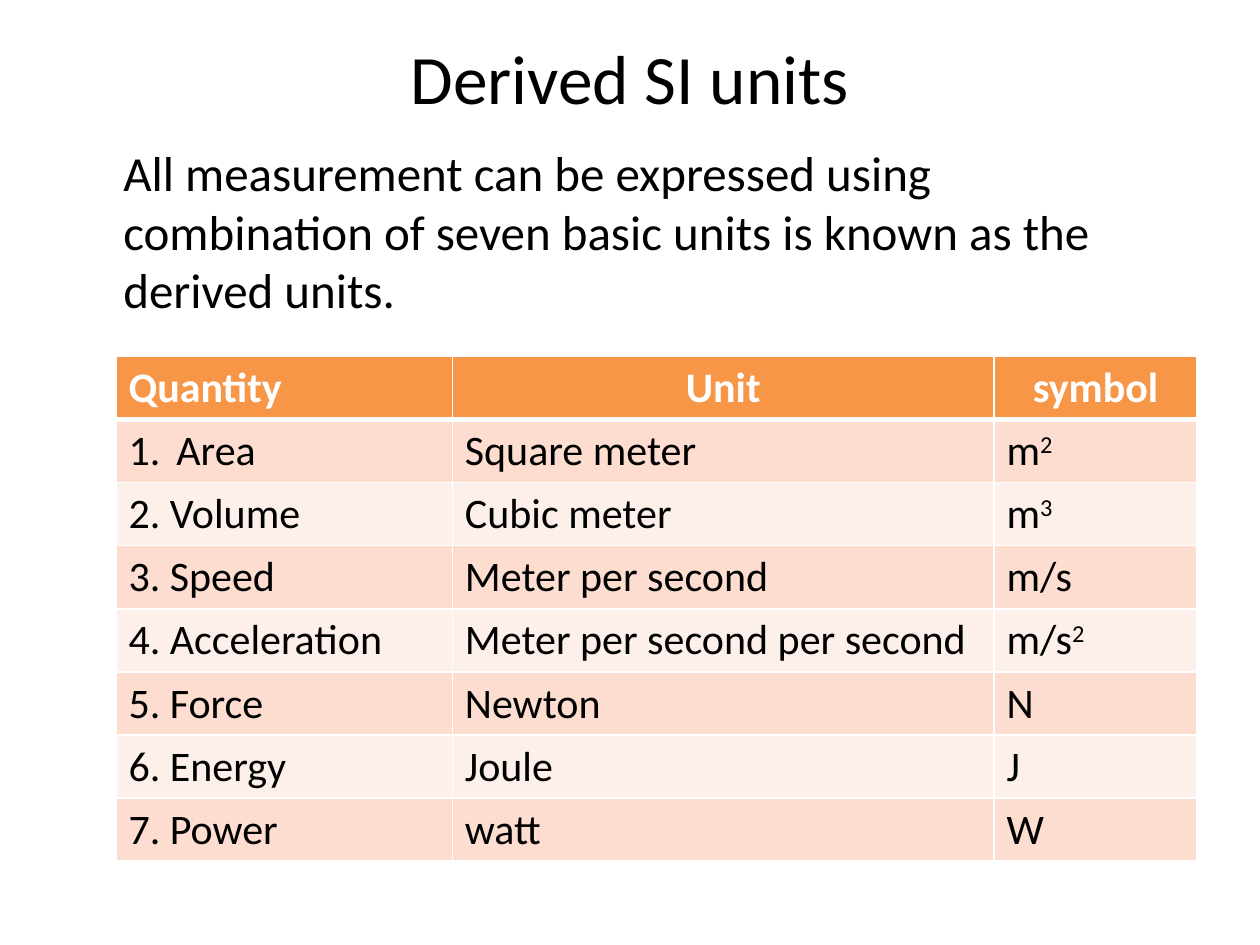
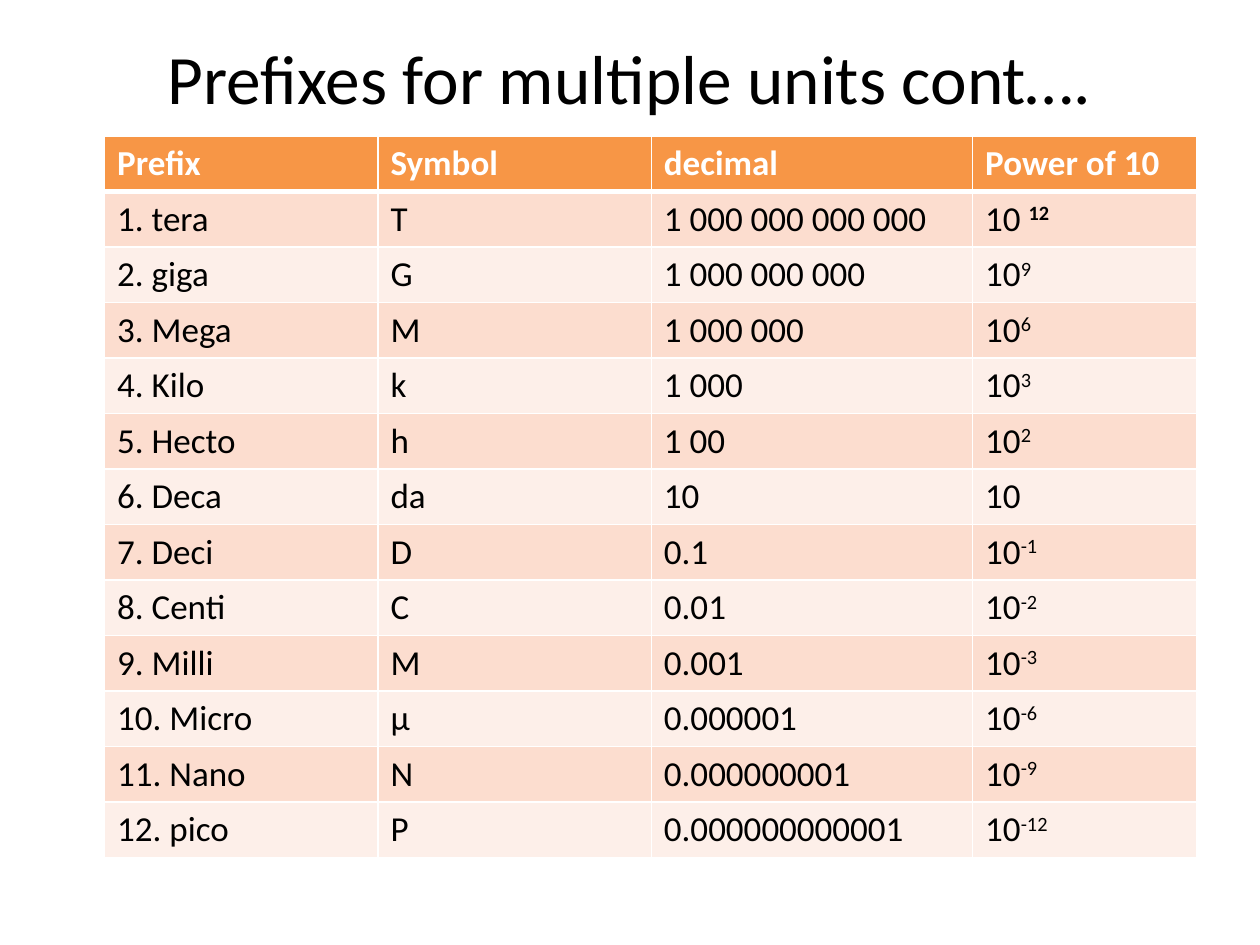
from lxml.etree import SubElement
from pptx import Presentation
from pptx.dml.color import RGBColor
from pptx.enum.text import MSO_ANCHOR as Anchor, MSO_AUTO_SIZE as AutoSize, PP_ALIGN as Align
from pptx.oxml.ns import qn
from pptx.util import Inches, Pt

FONT = "Calibri"
BLACK, WHITE = "000000", "FFFFFF"
HEADER_FILL = "F79646"
BAND_FILLS = ("FCDDCF", "FDEFE9")
TITLE_ONLY = 5
NUMBER_INDENT = 0.38


def rgb(value):
    return RGBColor.from_string(value)


def set_borders(cell, **widths):
    """Draw white cell borders; widths are points keyed by side: L, R, T, B."""
    properties = cell._tc.get_or_add_tcPr()
    for side, width in widths.items():
        line = SubElement(properties, qn(f"a:ln{side}"), w=str(Pt(width)))
        SubElement(SubElement(line, qn("a:solidFill")), qn("a:srgbClr"), val=WHITE)


def set_auto_number(paragraph):
    properties = paragraph._p.get_or_add_pPr()
    indent = Inches(NUMBER_INDENT)
    properties.set("marL", str(indent))
    properties.set("indent", str(-indent))
    SubElement(properties, qn("a:buFont"), typeface="+mj-lt")
    SubElement(properties, qn("a:buAutoNum"), type="arabicPeriod")


class Deck:
    def __init__(self):
        self.prs = Presentation()
        self.prs.slide_width, self.prs.slide_height = Inches(10), Inches(7.5)
        self.slide = None

    def add_run(self, paragraph, text, size, color=BLACK, bold=False, raised=False):
        run = paragraph.add_run()
        run.text = text
        font = run.font
        font.name, font.size, font.bold = FONT, Pt(size), bold
        font.color.rgb = rgb(color)
        if raised:
            run._r.get_or_add_rPr().set("baseline", "30000")

    def add_slide(self, heading):
        self.slide = self.prs.slides.add_slide(self.prs.slide_layouts[TITLE_ONLY])
        title = self.slide.shapes.title
        title.left, title.top = Inches(0.5), Inches(0.3)
        title.width, title.height = Inches(9), Inches(0.62)
        frame = title.text_frame
        frame.auto_size, frame.vertical_anchor = AutoSize.NONE, Anchor.MIDDLE
        frame.paragraphs[0].alignment = Align.CENTER
        self.add_run(frame.paragraphs[0], heading, 39.6)

    def add_body(self, text):
        box = self.slide.shapes.add_textbox(Inches(0.5), Inches(1.08), Inches(9), Inches(1.6))
        frame = box.text_frame
        frame.word_wrap = True
        frame.margin_left = Inches(0.1 + NUMBER_INDENT)
        self.add_run(frame.paragraphs[0], text, 28)

    def fill_cell(self, cell, text, size, color, bold):
        """Write text; what follows ^ is raised, and ^! makes it bold as well."""
        paragraph = cell.text_frame.paragraphs[0]
        base, _, power = text.partition("^")
        self.add_run(paragraph, base, size, color, bold)
        if power:
            self.add_run(paragraph, power.lstrip("!"), size, color, power.startswith("!"), True)

    def add_table(self, left, top, widths, row_height, size, rows):
        table = self.slide.shapes.add_table(
            len(rows), len(widths), Inches(left), Inches(top),
            Inches(sum(widths)), Inches(row_height * len(rows))).table
        for column, width in zip(table.columns, widths):
            column.width = Inches(width)
        for r, texts in enumerate(rows):
            table.rows[r].height = Inches(row_height)
            header = r == 0
            for c, text in enumerate(texts):
                cell = table.cell(r, c)
                set_borders(cell, L=1, R=1, T=3 if r == 1 else 1, B=3 if header else 1)
                cell.fill.solid()
                cell.fill.fore_color.rgb = rgb(HEADER_FILL if header else BAND_FILLS[(r - 1) % 2])
                self.fill_cell(cell, text, size, WHITE if header else BLACK, header)
        return table


DERIVED_UNITS = [
    ("Quantity", "Unit", "symbol"),
    ("Area", "Square meter", "m^2"),
    ("2. Volume", "Cubic meter", "m^3"),
    ("3. Speed", "Meter per second", "m/s"),
    ("4. Acceleration", "Meter per second per second", "m/s^2"),
    ("5. Force", "Newton", "N"),
    ("6. Energy", "Joule", "J"),
    ("7. Power", "watt", "W"),
]

PREFIXES = [
    ("Prefix", "Symbol", "decimal", "Power of 10"),
    ("1. tera", "T", "1 000 000 000 000", "10 ^!12"),
    ("2. giga", "G", "1 000 000 000", "10^9"),
    ("3. Mega", "M", "1 000 000", "10^6"),
    ("4. Kilo", "k", "1 000", "10^3"),
    ("5. Hecto", "h", "1 00", "10^2"),
    ("6. Deca", "da", "10", "10"),
    ("7. Deci", "D", "0.1", "10^-1"),
    ("8. Centi", "C", "0.01", "10^-2"),
    ("9. Milli", "M", "0.001", "10^-3"),
    ("10. Micro", "µ", "0.000001", "10^-6"),
    ("11. Nano", "N", "0.000000001", "10^-9"),
    ("12. pico", "P", "0.000000000001", "10^-12"),
]


def main():
    deck = Deck()

    deck.add_slide("Derived SI units")
    deck.add_body("All measurement can be expressed using combination of seven basic units "
                  "is known as the derived units.")
    units = deck.add_table(0.92, 2.83, (2.67, 4.3, 1.61), 0.5, 24, DERIVED_UNITS)
    for column in (1, 2):
        units.cell(0, column).text_frame.paragraphs[0].alignment = Align.CENTER
    set_auto_number(units.cell(1, 0).text_frame.paragraphs[0])

    deck.add_slide("Prefixes for multiple units cont….")
    deck.add_table(0.83, 1.08, (2.17, 2.17, 2.55, 1.78), 0.44, 20, PREFIXES)

    deck.prs.save("out.pptx")


if __name__ == "__main__":
    main()
